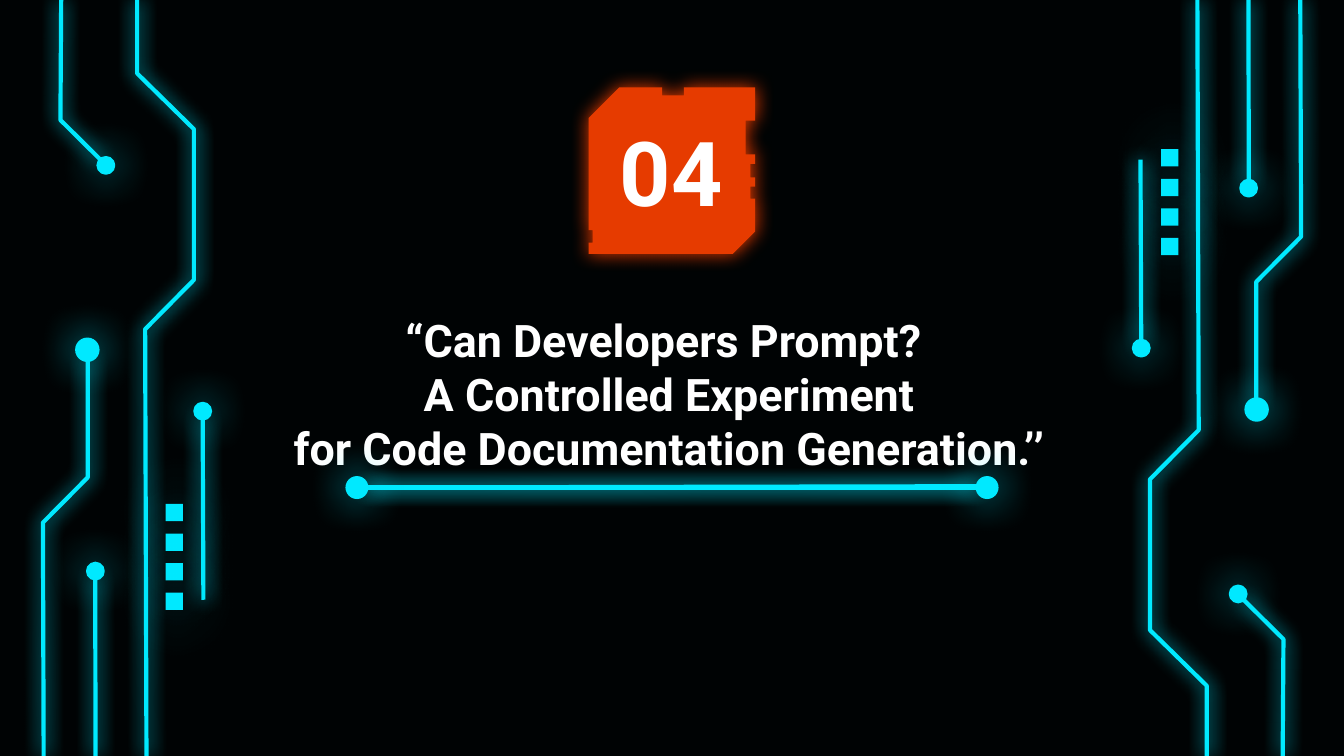
from dataclasses import dataclass

import pptx
import pptx.dml.color
import pptx.enum.shapes
import pptx.enum.text
import pptx.oxml
import pptx.oxml.ns
import pptx.util

Pt = pptx.util.Pt


@dataclass(frozen=True)
class Theme:
    """Colours, font and sizes of the slide."""
    background: str = "000304"
    neon: str = "00E9FF"
    accent: str = "E63B00"
    text: str = "FFFFFF"
    font: str = "Roboto"
    title_size: float = 24
    number_size: float = 48
    trace_width: float = 2.25
    node_width: float = 1.5
    glow: float = 10.1
    node_glow: float = 22.5
    pad_glow: float = 36


THEME = Theme()
SLIDE_WIDTH, SLIDE_HEIGHT = 720, 405
TURN_HEIGHT = 406.8

TRACES = [
    [(78.5, 407.5), (77.8, 176.4), (103.9, 150), (103.9, 69.2), (73.5, 39.4), (73.5, 0)],
    [(51.2, 407.5), (51, 308.9)],
    [(32.8, 0), (32.4, 64.3), (54, 85.7)],
    [(23.4, 407.5), (23, 280), (47, 255.8), (47, 191.5)],
    [(109, 321.3), (108.6, 223.2)],
]
NODES = [(46.8, 187.4, 11.6), (56.7, 88.6, 8.6), (108.6, 220.3, 8.6), (51.1, 306, 8.6)]
PAD_LEFT, PAD_TOP, PAD_SIZE, PAD_STEP, PAD_COUNT = 88.7, 270, 9.3, 15.85, 4

CHIP_OUTLINE = [
    (16.5, 0), (0, 16.5), (0, 76.5), (2.2, 76.5), (2.2, 83.2), (0, 83.2),
    (0, 89.3), (77.2, 89.3), (89.3, 77.2), (89.3, 59.6), (86.8, 59.6),
    (86.8, 53.2), (89.3, 53.2), (89.3, 48.2), (86.8, 48.2), (86.8, 41),
    (89.3, 41), (89.3, 36), (84.2, 36), (84.2, 17.9), (89.3, 17.9),
    (89.3, 0), (51.1, 0), (51.1, 4.3), (39.4, 4.3), (39.4, 0),
]


def color(value):
    """Return an RGB colour for a hex string."""
    return pptx.dml.color.RGBColor.from_string(value)


def add_glow(shape, value, blur, distance=0, alpha=100):
    """Give a shape a soft shadow of its own colour."""
    properties = shape._element.spPr
    for effects in properties.findall(pptx.oxml.ns.qn("a:effectLst")):
        properties.remove(effects)
    properties.append(pptx.oxml.parse_xml(
        f'<a:effectLst {pptx.oxml.ns.nsdecls("a")}>'
        f'<a:outerShdw blurRad="{Pt(blur)}" dist="{Pt(distance)}" dir="0" '
        f'algn="bl" rotWithShape="0"><a:srgbClr val="{value}">'
        f'<a:alpha val="{alpha * 1000}"/></a:srgbClr></a:outerShdw></a:effectLst>'))


def add_outline(slide, points, closed):
    """Add a freeform through points given in slide coordinates."""
    corners = [(Pt(x), Pt(y)) for x, y in points]
    builder = slide.shapes.build_freeform(*corners[0], scale=1.0)
    builder.add_line_segments(corners[1:], close=closed)
    return builder.convert_to_shape()


def add_node(slide, center_x, center_y, diameter):
    """Add a glowing round node."""
    node = slide.shapes.add_shape(
        pptx.enum.shapes.MSO_SHAPE.OVAL, Pt(center_x - diameter / 2),
        Pt(center_y - diameter / 2), Pt(diameter), Pt(diameter))
    node.fill.solid()
    node.fill.fore_color.rgb = color(THEME.neon)
    node.line.color.rgb = color(THEME.neon)
    node.line.width = Pt(THEME.node_width)
    add_glow(node, THEME.neon, THEME.node_glow)


def add_circuit(slide, box, turned=False):
    """Draw the circuit traces in a box, optionally turned by half a circle."""
    left, top, width, height = box

    def place(x, y):
        """Map a circuit point into the box."""
        if turned:
            x, y = width - x, TURN_HEIGHT - y
        return left + x, top + min(max(y, 0), height)

    for points in TRACES:
        trace = add_outline(slide, [place(x, y) for x, y in points], closed=False)
        trace.fill.background()
        trace.line.color.rgb = color(THEME.neon)
        trace.line.width = Pt(THEME.trace_width)
        add_glow(trace, THEME.neon, THEME.glow)
    for x, y, diameter in NODES:
        add_node(slide, *place(x, y), diameter)
    for index in range(PAD_COUNT):
        center_x, center_y = place(PAD_LEFT + PAD_SIZE / 2,
                                   PAD_TOP + index * PAD_STEP + PAD_SIZE / 2)
        pad = slide.shapes.add_shape(
            pptx.enum.shapes.MSO_SHAPE.RECTANGLE, Pt(center_x - PAD_SIZE / 2),
            Pt(center_y - PAD_SIZE / 2), Pt(PAD_SIZE), Pt(PAD_SIZE))
        pad.fill.solid()
        pad.fill.fore_color.rgb = color(THEME.neon)
        pad.line.fill.background()
        add_glow(pad, THEME.neon, THEME.pad_glow, distance=1.5, alpha=70)


def add_chip(slide, box):
    """Draw the notched chip at the top left of a box."""
    left, top = box[:2]
    chip = add_outline(slide, [(left + x, top + y) for x, y in CHIP_OUTLINE], closed=True)
    chip.fill.solid()
    chip.fill.fore_color.rgb = color(THEME.accent)
    chip.line.fill.background()
    add_glow(chip, THEME.accent, THEME.glow)


def add_heading(slide, box, lines, size):
    """Write centred bold lines in the middle of a box."""
    frame = slide.shapes.add_textbox(*map(Pt, box)).text_frame
    frame.word_wrap = True
    frame.vertical_anchor = pptx.enum.text.MSO_ANCHOR.MIDDLE
    frame.margin_left = frame.margin_right = Pt(7.2)
    frame.margin_top = frame.margin_bottom = Pt(7.2)
    paragraph = frame.paragraphs[0]
    paragraph.alignment = pptx.enum.text.PP_ALIGN.CENTER
    for index, line in enumerate(lines):
        if index:
            paragraph.add_line_break()
        run = paragraph.add_run()
        run.text = line
        run.font.name = THEME.font
        run.font.size = Pt(size)
        run.font.bold = True
        run.font.color.rgb = color(THEME.text)


def add_underline(slide, box):
    """Draw a glowing double line between two nodes."""
    left, top, width, diameter = box
    middle = top + diameter / 2
    for rise in (0.7, 0):
        line = slide.shapes.add_connector(
            pptx.enum.shapes.MSO_CONNECTOR.STRAIGHT, Pt(left + diameter), Pt(middle),
            Pt(left + width - diameter), Pt(middle - rise))
        line.line.color.rgb = color(THEME.neon)
        line.line.width = Pt(THEME.trace_width)
        add_glow(line, THEME.neon, THEME.glow)
    for center_x in (left + diameter / 2, left + width - diameter / 2):
        add_node(slide, center_x, middle, diameter)


def main():
    """Build and save the section slide."""
    presentation = pptx.Presentation()
    presentation.slide_width = Pt(SLIDE_WIDTH)
    presentation.slide_height = Pt(SLIDE_HEIGHT)
    slide = presentation.slides.add_slide(presentation.slide_layouts[6])
    slide.background.fill.solid()
    slide.background.fill.fore_color.rgb = color(THEME.background)

    add_circuit(slide, (0, 0, 120, SLIDE_HEIGHT))
    add_circuit(slide, (SLIDE_WIDTH - 120, 0, 120, SLIDE_HEIGHT), turned=True)
    add_chip(slide, (315.3, 46.8, 89.3, 89.3))
    add_heading(slide, (131.8, 181.4, 447.1, 59),
                ["“Can Developers Prompt?", " A Controlled Experiment",
                 " for Code Documentation Generation.’’"], THEME.title_size)
    add_heading(slide, (173.5, 59, 372.2, 64.8), ["04"], THEME.number_size)
    add_underline(slide, (185.8, 255.8, 348.4, 10.8))
    presentation.save("out.pptx")


if __name__ == "__main__":
    main()
